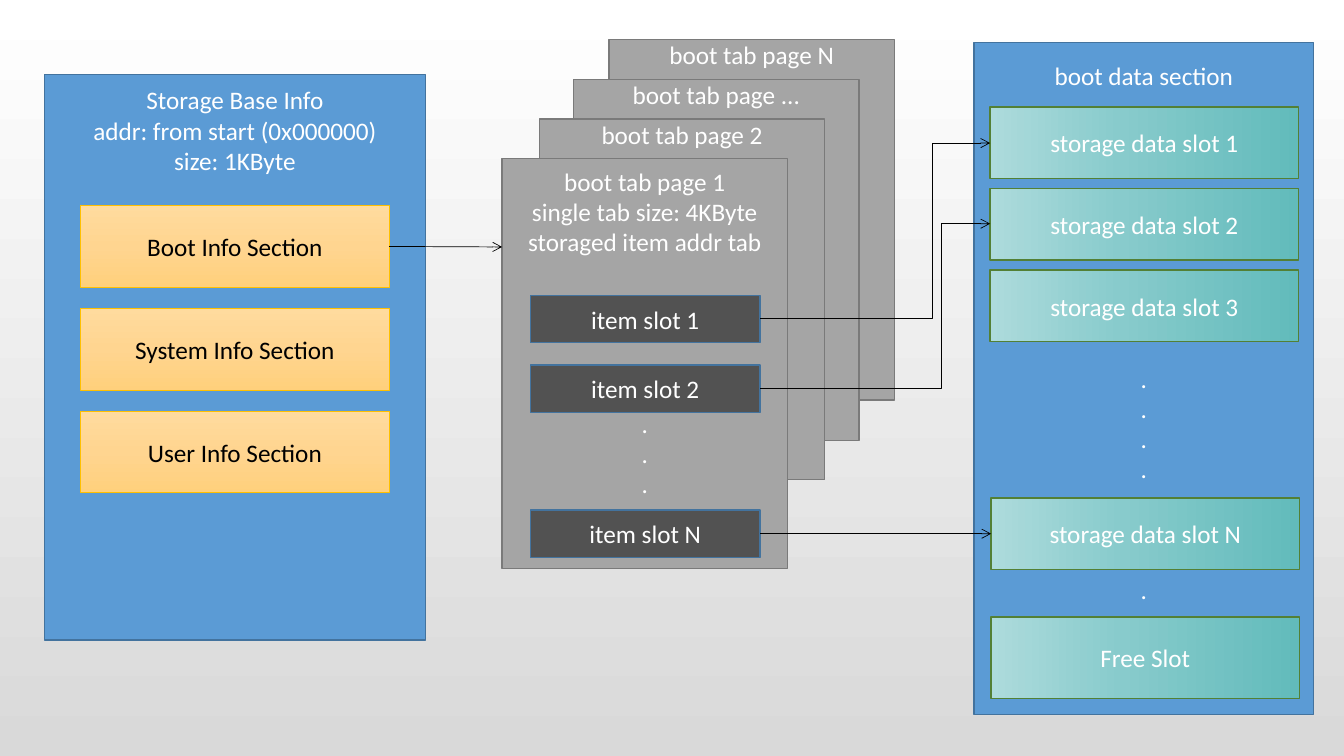
from copy import deepcopy

from pptx import Presentation
from pptx.dml.color import RGBColor
from pptx.enum.shapes import MSO_CONNECTOR as Connector, MSO_SHAPE as Shape
from pptx.enum.text import MSO_ANCHOR as Anchor, PP_ALIGN as Align
from pptx.oxml.ns import qn
from pptx.util import Inches, Pt
from lxml import etree

BLACK = RGBColor(0x00, 0x00, 0x00)
WHITE = RGBColor(0xFF, 0xFF, 0xFF)
LIGHT_GRAY = RGBColor(0xD9, 0xD9, 0xD9)
GRAY = RGBColor(0xA5, 0xA5, 0xA5)
GRAY_EDGE = RGBColor(0x7A, 0x7A, 0x7A)
DARK_GRAY = RGBColor(0x52, 0x52, 0x52)
BLUE = RGBColor(0x5B, 0x9B, 0xD5)
BLUE_EDGE = RGBColor(0x43, 0x73, 0x9E)
GOLD_EDGE = RGBColor(0xFF, 0xC0, 0x00)
GREEN_EDGE = RGBColor(0x53, 0x80, 0x35)

# Gradients: stops of (position, colour), then the angle, counter-clockwise
BACKDROP = ([(0, WHITE), (1, LIGHT_GRAY)], 270)
GOLD = ([(0, RGBColor(0xFF, 0xDB, 0x9E)), (0.5, RGBColor(0xFF, 0xD5, 0x90)),
         (1, RGBColor(0xFF, 0xD0, 0x7C))], 270)
TEAL = ([(0, RGBColor(0xAD, 0xDB, 0xDC)), (0.42, RGBColor(0x88, 0xCB, 0xCC)),
         (1, RGBColor(0x62, 0xBB, 0xBB))], 0)

LINE_PITCH = 21.6  # points per text line


class Diagram:
    font = "Calibri"
    size = Pt(18)

    def __init__(self, slide):
        self.slide = slide
        self.paint(slide.background.fill, BACKDROP)

    def paint(self, fill, color):
        if isinstance(color, RGBColor):
            fill.solid()
            fill.fore_color.rgb = color
            return
        stops, angle = color
        fill.gradient()
        fill.gradient_angle = angle
        first = fill.gradient_stops[0]._gs
        for _ in stops[2:]:
            first.addnext(deepcopy(first))
        for stop, (position, shade) in zip(fill.gradient_stops, stops):
            stop.position = position
            stop.color.rgb = shade

    def box(self, left, top, width, height, lines, fill, edge, edge_width=1,
            color=WHITE, kind=Shape.RECTANGLE, inset=None, gaps=None):
        """Text is centred, or starts at inset; gaps maps line index to free lines above."""
        shape = self.slide.shapes.add_shape(
            kind, Inches(left), Inches(top), Inches(width), Inches(height))
        shape.shadow.inherit = False
        self.paint(shape.fill, fill)
        shape.line.color.rgb = edge
        shape.line.width = Pt(edge_width)
        frame = shape.text_frame
        frame.word_wrap = True
        frame.vertical_anchor = Anchor.MIDDLE if inset is None else Anchor.TOP
        if inset is not None:
            frame.margin_top = Inches(inset)
        for index, line in enumerate(lines):
            paragraph = frame.add_paragraph() if index else frame.paragraphs[0]
            paragraph.text = line
            paragraph.alignment = Align.CENTER
            paragraph.font.name = self.font
            paragraph.font.size = self.size
            paragraph.font.color.rgb = color
            if gaps and index in gaps:
                paragraph.space_before = Pt(gaps[index] * LINE_PITCH)
        return shape

    def arrow(self, start, end, bend=None):
        kind = Connector.STRAIGHT if bend is None else Connector.ELBOW
        connector = self.slide.shapes.add_connector(
            kind, *(Inches(value) for value in (*start, *end)))
        connector.line.color.rgb = BLACK
        connector.line.width = Pt(0.5)
        properties = connector._element.spPr
        etree.SubElement(properties.find(qn("a:ln")), qn("a:tailEnd"), type="arrow")
        etree.SubElement(properties, qn("a:effectLst"))
        if bend is not None:
            guides = properties.find(qn("a:prstGeom")).get_or_add_avLst()
            etree.SubElement(guides, qn("a:gd"), name="adj1",
                             fmla=f"val {round(bend * 100000)}")
        return connector


def main():
    presentation = Presentation()
    presentation.slide_width = Inches(13.33)
    presentation.slide_height = Inches(7.5)
    diagram = Diagram(presentation.slides.add_slide(presentation.slide_layouts[6]))

    # Storage base info with its sections
    diagram.box(0.44, 0.74, 3.78, 5.61,
                ["Storage Base Info", "addr: from start (0x000000)", "size: 1KByte"],
                BLUE, BLUE_EDGE, inset=0.1)
    sections = [
        diagram.box(0.8, 2.04 + 1.02 * row, 3.06, 0.81, [f"{name} Info Section"],
                    GOLD, GOLD_EDGE, 0.5, BLACK)
        for row, name in enumerate(["Boot", "System", "User"])]

    # Stack of boot tab pages, rearmost first
    for left, top, name in [(6.04, 0.39, "N"), (5.69, 0.79, "..."), (5.35, 1.18, "2")]:
        diagram.box(left, top, 2.83, 3.58, [f"boot tab page {name}"],
                    GRAY, GRAY_EDGE, kind=Shape.FLOWCHART_PROCESS, inset=0)
    diagram.box(4.98, 1.57, 2.83, 4.07,
                ["boot tab page 1", "single tab size: 4KByte", "storaged item addr tab",
                 ".", ".", "."],
                GRAY, GRAY_EDGE, kind=Shape.FLOWCHART_PROCESS, inset=0.08, gaps={3: 5})
    items = {
        name: diagram.box(5.26, top, 2.28, 0.47, [f"item slot {name}"],
                          DARK_GRAY, BLUE_EDGE)
        for name, top in [("1", 2.93), ("2", 3.62), ("N", 5.06)]}

    # Boot data section with its slots
    diagram.box(9.66, 0.42, 3.37, 6.67,
                ["boot data section", ".", ".", ".", ".", "."],
                BLUE, BLUE_EDGE, inset=0.18, gaps={1: 9, 5: 3})
    slots = {
        name: diagram.box(left, top, 3.06, height, [name], TEAL, GREEN_EDGE)
        for name, left, top, height in [
            ("storage data slot 1", 9.82, 1.06, 0.71),
            ("storage data slot 2", 9.82, 1.87, 0.71),
            ("storage data slot 3", 9.82, 2.68, 0.71),
            ("storage data slot N", 9.83, 4.94, 0.71),
            ("Free Slot", 9.83, 6.12, 0.81)]}

    # Arrows
    diagram.arrow((3.86, 2.45), (4.98, 2.45)).begin_connect(sections[0], 3)
    diagram.arrow((7.54, 3.16), (9.82, 1.42), bend=0.75)
    diagram.arrow((7.54, 3.85), (9.82, 2.22), bend=0.79)
    last = diagram.arrow((7.54, 5.29), (9.83, 5.29))
    last.begin_connect(items["N"], 3)
    last.end_connect(slots["storage data slot N"], 1)

    presentation.save("out.pptx")


if __name__ == "__main__":
    main()
